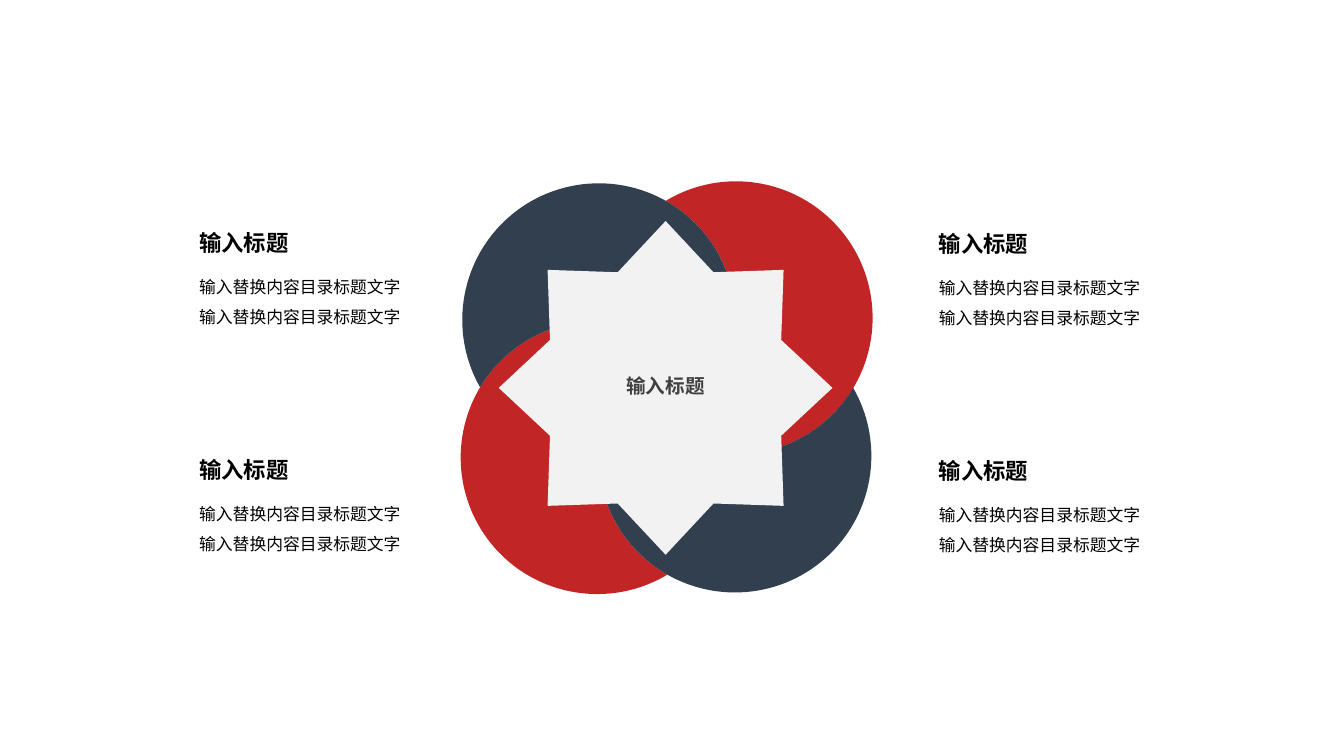
import math
from dataclasses import dataclass
from lxml import etree
from pptx import Presentation
from pptx import util as u
from pptx.dml.color import RGBColor
from pptx.enum import shapes, text
from pptx.oxml import ns

HEAD = "输入标题"
LINE = "输入替换内容目录标题文字"
NOTES = [
    {"head": HEAD, "body": LINE * 2, "at": (4.77, 5.64)},
    {"head": HEAD, "body": LINE * 2, "at": (23.41, 5.67)},
    {"head": HEAD, "body": LINE * 2, "at": (4.77, 11.37)},
    {"head": HEAD, "body": LINE * 2, "at": (23.41, 11.39)},
]
RINGS = [
    {"mid": (15.05, 11.53), "over": (18.52, 11.49), "fill": "red"},
    {"mid": (18.55, 8.01), "over": (15.09, 8.06), "fill": "red"},
    {"mid": (15.09, 8.06), "over": (15.05, 11.53), "fill": "navy"},
    {"mid": (18.52, 11.49), "over": (18.55, 8.01), "fill": "navy"},
]
RADIUS = 3.44
TILT = 45
STAR = (12.57, 5.57, 8.41, 8.41)
TITLE = (14.22, 9.3, 5.11, 0.86)
HEAD_W, HEAD_H = 3.02, 0.95
BODY_W, BODY_H = 5.6, 2.56


@dataclass(frozen=True)
class Theme:
    red: str = "C12525"
    navy: str = "323F4F"
    pale: str = "F2F2F2"
    grey: str = "404040"
    black: str = "000000"
    sans: str = "Noto Sans CJK SC"
    latin: str = "Arial"
    title: int = 14
    head: int = 16
    body: int = 12


theme = Theme()


def paint(shape, color):
    shape.shadow.inherit = False
    shape.fill.solid()
    shape.fill.fore_color.rgb = RGBColor.from_string(color)
    shape.line.fill.background()


def polar(mid, turn, reach=RADIUS):
    return mid[0] + reach * math.cos(turn), mid[1] + reach * math.sin(turn)


def emu(point):
    return tuple(int(u.Cm(v)) for v in point)


def arc(mid, start, end, parts):
    step = (end - start) / parts
    pull = math.atan(4 / 3 * math.tan(step / 4))
    reach = RADIUS / math.cos(pull)
    for i in range(parts):
        a, b = start + i * step, start + (i + 1) * step
        spots = polar(mid, a + pull, reach), polar(mid, b - pull, reach), polar(mid, b)
        yield [emu(spot) for spot in spots]


def bend(shape, curves):
    lines = shape.element.findall(".//" + ns.qn("a:lnTo"))
    for line, curve in zip(lines, curves):
        line.tag_name = None
        cubic = etree.Element(ns.qn("a:cubicBezTo"))
        for x, y in curve:
            etree.SubElement(cubic, ns.qn("a:pt"),
                             x=str(x - shape.left), y=str(y - shape.top))
        line.getparent().replace(line, cubic)


def add_ring(slide, ring):
    mid, over = ring["mid"], ring["over"]
    gap = math.dist(mid, over)
    tilt = math.radians(TILT)
    lean = math.atan2(over[1] - mid[1], over[0] - mid[0]) - tilt
    half = math.acos(gap / 2 / RADIUS)
    back = lean + math.pi
    curves = [*arc(mid, lean + half, lean + 2 * math.pi - half, 3),
              *arc(polar(mid, lean, gap), back + half, back - half, 2)]
    form = slide.shapes.build_freeform(*emu(polar(mid, lean + half)), scale=1.0)
    form.add_line_segments([curve[-1] for curve in curves], close=True)
    shape = form.convert_to_shape()
    bend(shape, curves)
    x, y = emu(mid)
    dx = shape.left + shape.width / 2 - x
    dy = shape.top + shape.height / 2 - y
    shape.left = int(x + dx * math.cos(tilt) - dy * math.sin(tilt) - shape.width / 2)
    shape.top = int(y + dx * math.sin(tilt) + dy * math.cos(tilt) - shape.height / 2)
    shape.rotation = TILT
    paint(shape, getattr(theme, ring["fill"]))


def write(shape, words, size, color, font, bold=False, gap=1.0, align=text.PP_ALIGN.LEFT):
    frame = shape.text_frame
    frame.word_wrap = True
    frame.auto_size = text.MSO_AUTO_SIZE.NONE
    frame.vertical_anchor = text.MSO_ANCHOR.TOP
    para = frame.paragraphs[0]
    para.alignment = align
    para.line_spacing = gap
    run = para.add_run()
    run.text = words
    run.font.name = font
    run.font.size = u.Pt(size)
    run.font.bold = bold
    run.font.color.rgb = RGBColor.from_string(color)
    latin = run.font._element.find(ns.qn("a:latin"))
    east = etree.Element(ns.qn("a:ea"), typeface=theme.sans)
    latin.addnext(east)


def add_note(slide, note):
    left, top = note["at"]
    body = slide.shapes.add_textbox(*map(u.Cm, (left, top + HEAD_H, BODY_W, BODY_H)))
    write(body, note["body"], theme.body, theme.black, theme.sans, gap=1.5)
    head = slide.shapes.add_textbox(*map(u.Cm, (left, top, HEAD_W, HEAD_H)))
    write(head, note["head"], theme.head, theme.black, theme.sans, bold=True)


def main():
    deck = Presentation()
    deck.slide_width, deck.slide_height = u.Cm(33.87), u.Cm(19.05)
    slide = deck.slides.add_slide(deck.slide_layouts[5])
    for ring in RINGS:
        add_ring(slide, ring)
    star = slide.shapes.add_shape(shapes.MSO_SHAPE.STAR_8_POINT, *map(u.Cm, STAR))
    paint(star, theme.pale)
    title = slide.shapes.title
    title.left, title.top, title.width, title.height = map(u.Cm, TITLE)
    write(title, HEAD, theme.title, theme.grey, theme.latin, bold=True,
          align=text.PP_ALIGN.CENTER)
    star.element.addnext(title.element)
    for note in NOTES:
        add_note(slide, note)
    deck.save("out.pptx")


if __name__ == "__main__":
    main()
